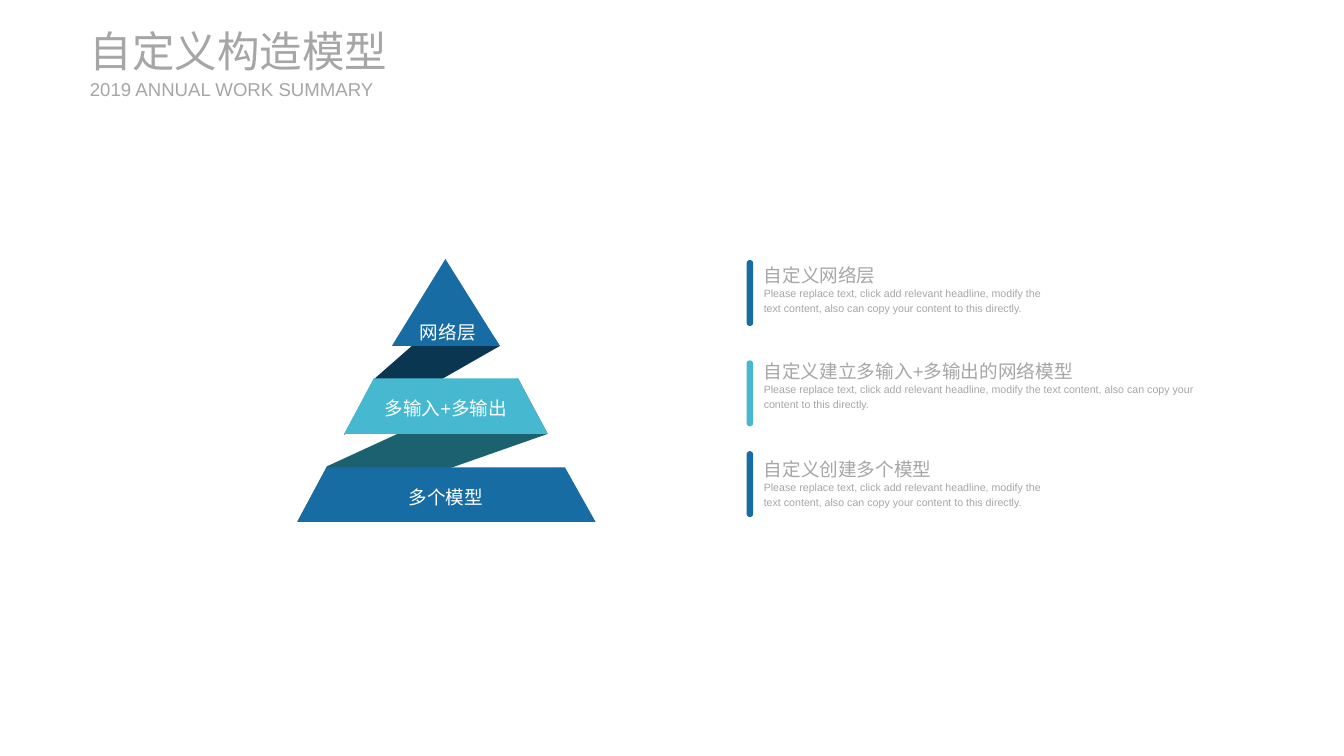
"""Build a slide with a folded three-level pyramid and three captions."""
from pptx import Presentation
from pptx.dml.color import RGBColor
from pptx.enum.shapes import MSO_SHAPE as Shape
from pptx.enum.text import MSO_ANCHOR as Anchor, MSO_AUTO_SIZE as AutoSize, PP_ALIGN as Align
from pptx.util import Inches, Pt

BLUE, TEAL, GRAY, WHITE = "166CA3", "46B9D0", "A6A6A6", "FFFFFF"
BODY = ("Please replace text, click add relevant headline, modify the text content, "
        "also can copy your content to this directly.")


def paint(shape, color):
    shape.shadow.inherit = False
    shape.fill.solid()
    shape.fill.fore_color.rgb = RGBColor.from_string(color)
    shape.line.fill.background()


def write(shape, text, box, size, color=GRAY, align=Align.LEFT, anchor=Anchor.TOP, spacing=1.2):
    for name, value in zip(("left", "top", "width", "height"), box):
        setattr(shape, name, Inches(value))
    frame = shape.text_frame
    frame_format = {"margin_left": 0, "margin_top": 0, "margin_right": 0, "margin_bottom": 0,
                    "word_wrap": True, "auto_size": AutoSize.NONE, "vertical_anchor": anchor}
    for name, value in frame_format.items():
        setattr(frame, name, value)
    paragraph = frame.paragraphs[0]
    paragraph.alignment = align
    paragraph.line_spacing = spacing
    run = paragraph.add_run()
    run.text = text
    for name, value in {"name": "Arial", "size": Pt(size)}.items():
        setattr(run.font, name, value)
    run.font.color.rgb = RGBColor.from_string(color)


presentation = Presentation()
presentation.slide_width = Inches(14.06)
presentation.slide_height = Inches(7.91)
slide = presentation.slides.add_slide(presentation.slide_layouts[5])
shapes = slide.shapes

write(shapes.title, "自定义构造模型", (0.94, 0.26, 4.32, 0.54), 32,
      anchor=Anchor.MIDDLE, spacing=1.0)
write(shapes.add_textbox(0, 0, 0, 0), "2019 ANNUAL WORK SUMMARY", (0.94, 0.81, 3.07, 0.24), 14,
      anchor=Anchor.MIDDLE, spacing=1.0)

ribbons_and_levels = [
    ("0B3651", [(4.89, 3.11), (3.91, 3.97), (3.6, 4.55), (5.23, 3.62)]),
    ("1C616F", [(5.42, 3.96), (3.42, 4.88), (3.11, 5.46), (5.73, 4.54)]),
    (BLUE, [(4.66, 2.71), (5.23, 3.62), (4.1, 3.62)]),
    (TEAL, [(3.91, 3.96), (3.6, 4.54), (5.73, 4.54), (5.42, 3.96)]),
    (BLUE, [(3.42, 4.89), (3.11, 5.46), (6.23, 5.46), (5.91, 4.89)]),
]
for color, points in ribbons_and_levels:
    corners = [(Inches(x), Inches(y)) for x, y in points]
    builder = shapes.build_freeform(*corners[0])
    builder.add_line_segments(corners[1:], close=True)
    paint(builder.convert_to_shape(), color)

level_labels = [
    ("网络层", (4.12, 3.22, 1.13, 0.47)),
    ("多输入+多输出", (3.93, 4.01, 1.47, 0.47)),
    ("多个模型", (3.43, 4.94, 2.47, 0.47)),
]
for label, box in level_labels:
    write(shapes.add_textbox(0, 0, 0, 0), label, box, 14, WHITE, Align.CENTER, Anchor.MIDDLE)

captions = [
    ("自定义网络层", 2.71, 2.95, 2.72, BLUE),
    ("自定义建立多输入+多输出的网络模型", 3.72, 4.8, 3.77, TEAL),
    ("自定义创建多个模型", 4.74, 2.95, 4.72, BLUE),
]
for heading, top, width, bar_top, color in captions:
    bar = shapes.add_shape(Shape.ROUND_2_SAME_RECTANGLE, Inches(7.81), Inches(bar_top),
                           Inches(0.07), Inches(0.69))
    bar.adjustments[0] = bar.adjustments[1] = 0.5
    paint(bar, color)
    write(shapes.add_textbox(0, 0, 0, 0), heading, (7.99, top, width, 0.28), 14)
    write(shapes.add_textbox(0, 0, 0, 0), BODY, (7.99, top + 0.26, width, 0.31), 8)

presentation.save("out.pptx")
